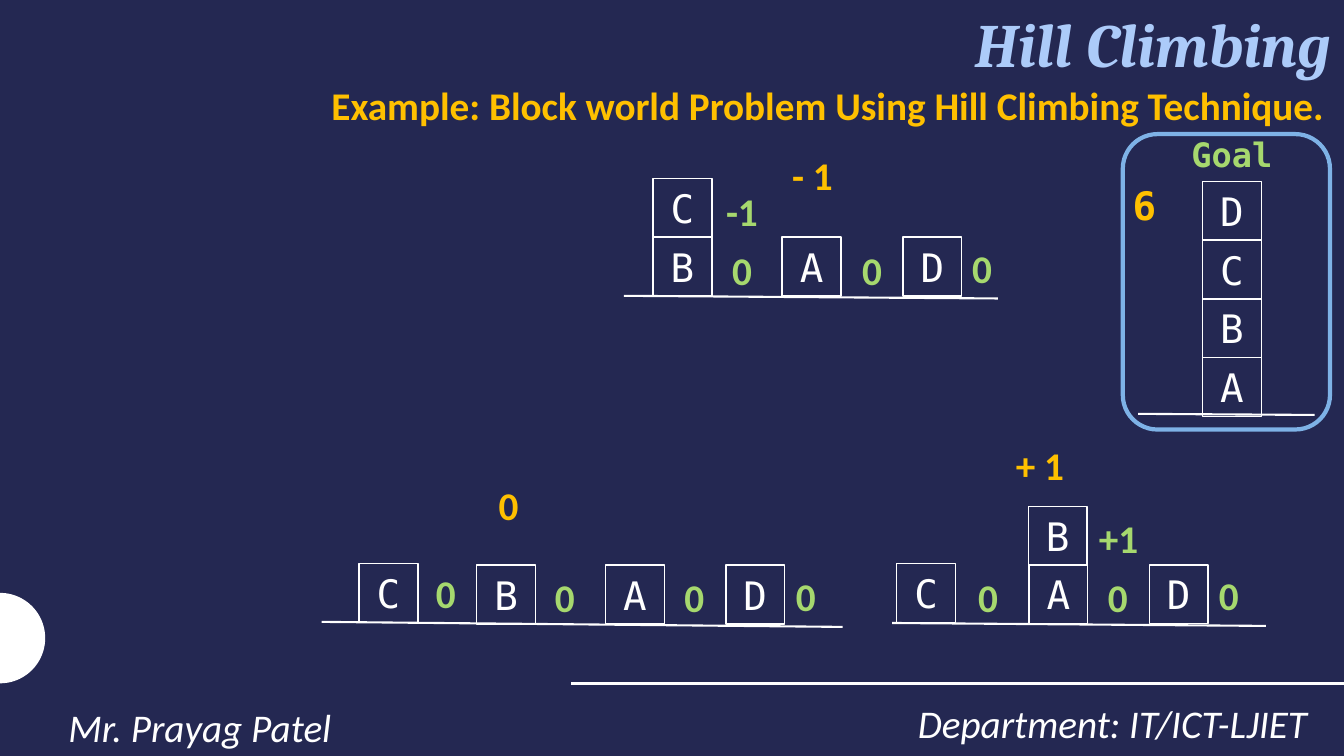
from dataclasses import dataclass
from math import cos, pi, sin

from lxml.etree import SubElement
from pptx import Presentation
from pptx.dml.color import RGBColor
from pptx.enum.shapes import MSO_CONNECTOR, MSO_SHAPE
from pptx.enum.text import MSO_ANCHOR, PP_ALIGN
from pptx.oxml.ns import qn
from pptx.shapes.autoshape import Shape
from pptx.slide import Slide
from pptx.util import Pt


@dataclass(frozen=True)
class Theme:
    background: str = "242852"
    white: str = "FFFFFF"
    title: str = "ACCBF9"
    amber: str = "FFC000"
    green: str = "A6D86E"
    frame: str = "7EB2E6"
    body_font: str = "Calibri"
    title_font: str = "Cambria"
    block_font: str = "DejaVu Sans Mono"
    title_size: float = 44
    body_size: float = 28
    goal_size: float = 24


THEME = Theme()
WIDTH, HEIGHT = 960, 540
TILE = 42


@dataclass(frozen=True)
class Style:
    color: str
    font: str = THEME.body_font
    size: float = THEME.body_size
    bold: bool = False
    italic: bool = False


BLOCK = Style(THEME.white, THEME.block_font)
SCORE = Style(THEME.green, bold=True)
TOTAL = Style(THEME.amber, bold=True)
GOAL = Style(THEME.green, THEME.block_font, THEME.goal_size, bold=True)
GOAL_TOTAL = Style(THEME.amber, THEME.block_font, bold=True)
TITLE = Style(THEME.title, THEME.title_font, THEME.title_size, bold=True, italic=True)
FOOTER = Style(THEME.white, italic=True)


@dataclass(frozen=True)
class Label:
    text: str
    left: float
    top: float
    width: float
    height: float
    style: Style
    align: PP_ALIGN = PP_ALIGN.LEFT
    line_spacing: float = 1.0


@dataclass(frozen=True)
class Tile:
    text: str
    left: float
    top: float


@dataclass(frozen=True)
class Line:
    x1: float
    y1: float
    x2: float
    y2: float
    width: float = 1.5


@dataclass(frozen=True)
class State:
    ground: Line
    blocks: tuple[Tile, ...]
    scores: tuple[Tile, ...] = ()


STATES = (
    State(
        Line(229.7, 444.2, 601.9, 447.8),
        (Tile("C", 256.5, 402.5), Tile("B", 340.5, 403.7),
         Tile("A", 432.5, 403.7), Tile("D", 518.5, 403.7)),
        (Tile("0", 297.5, 402.5), Tile("0", 382.5, 405.3),
         Tile("0", 475, 405.3), Tile("0", 554.5, 404.5)),
    ),
    State(
        Line(445.7, 211.3, 712.8, 213.2),
        (Tile("B", 466.5, 169.4), Tile("C", 466.5, 127.4),
         Tile("A", 558.7, 169.4), Tile("D", 645, 169.4)),
        (Tile("0", 509, 171.5), Tile("-1", 509, 129.5),
         Tile("0", 602, 171.5), Tile("0", 680.5, 170.5)),
    ),
    State(
        Line(637.2, 445, 904.3, 447.1),
        (Tile("C", 640.5, 402.5), Tile("B", 734.5, 361.8),
         Tile("A", 735, 403.5), Tile("D", 821, 403.5)),
        (Tile("0", 684.7, 405.4), Tile("+1", 778, 363),
         Tile("0", 777.5, 405.4), Tile("0", 856.8, 404)),
    ),
    State(
        Line(813, 295.6, 939, 296.4),
        tuple(Tile(name, 859, 129.5 + row * TILE) for row, name in enumerate("DCBA")),
    ),
)

LABELS = (
    Label("Department: IT/ICT-LJIET", 581.8, 491, 359, 45.4, FOOTER, PP_ALIGN.RIGHT, 1.14),
    Label("Mr. Prayag Patel", 41.8, 494, 613.4, 45.4, FOOTER, line_spacing=1.14),
    Label("Hill Climbing", 162, 0.7, 796.3, 80, TITLE, PP_ALIGN.RIGHT),
    Label("Example: Block world Problem Using Hill Climbing Technique.",
          229.7, 54.7, 729.4, 41, TOTAL, PP_ALIGN.JUSTIFY),
    Label("Goal", 844, 92.2, 80, 36, GOAL),
    Label("6", 802, 126, 36, 41, GOAL_TOTAL),
    Label("0", 349, 340.6, 48, 41, TOTAL),
    Label("- 1", 558.7, 104.4, 48, 41, TOTAL),
    Label("+ 1", 718.5, 311.8, 55.5, 41, TOTAL),
)


def color(value: str) -> RGBColor:
    return RGBColor.from_string(value)


def write_text(shape: Shape, text: str, style: Style, align: PP_ALIGN,
               line_spacing: float = 1.0) -> None:
    paragraph = shape.text_frame.paragraphs[0]
    paragraph.alignment = align
    paragraph.line_spacing = line_spacing
    run = paragraph.add_run()
    run.text = text
    run.font.name = style.font
    run.font.size = Pt(style.size)
    run.font.bold = style.bold
    run.font.italic = style.italic
    run.font.color.rgb = color(style.color)


def add_label(slide: Slide, label: Label) -> None:
    shape = slide.shapes.add_textbox(
        Pt(label.left), Pt(label.top), Pt(label.width), Pt(label.height))
    shape.text_frame.word_wrap = True
    write_text(shape, label.text, label.style, label.align, label.line_spacing)


def add_outline(slide: Slide, preset: MSO_SHAPE, left: float, top: float,
                width: float, height: float, line_color: str, line_width: float) -> Shape:
    shape = slide.shapes.add_shape(preset, Pt(left), Pt(top), Pt(width), Pt(height))
    shape.shadow.inherit = False
    shape.fill.background()
    shape.line.color.rgb = color(line_color)
    shape.line.width = Pt(line_width)
    return shape


def add_tile(slide: Slide, tile: Tile, style: Style, outlined: bool) -> None:
    if outlined:
        shape = add_outline(slide, MSO_SHAPE.RECTANGLE, tile.left, tile.top,
                            TILE, TILE, THEME.white, 1)
    else:
        shape = slide.shapes.add_textbox(Pt(tile.left), Pt(tile.top), Pt(TILE), Pt(TILE))
    frame = shape.text_frame
    frame.word_wrap = False
    frame.margin_left = frame.margin_right = Pt(0)
    frame.vertical_anchor = MSO_ANCHOR.MIDDLE
    write_text(shape, tile.text, style, PP_ALIGN.CENTER)


def add_line(slide: Slide, line: Line) -> None:
    connector = slide.shapes.add_connector(
        MSO_CONNECTOR.STRAIGHT, Pt(line.x1), Pt(line.y1), Pt(line.x2), Pt(line.y2))
    connector.line.color.rgb = color(THEME.white)
    connector.line.width = Pt(line.width)
    SubElement(connector._element.spPr, qn("a:effectLst"))


def add_half_disc(slide: Slide, center_y: float, radius: float, steps: int = 48) -> None:
    """Draw a half disc that bulges from the left slide edge."""
    angles = [-pi / 2 + pi * step / steps for step in range(steps + 1)]
    points = [(Pt(radius * cos(angle)), Pt(center_y + radius * sin(angle)))
              for angle in angles]
    builder = slide.shapes.build_freeform(*points[0])
    builder.add_line_segments(points[1:], close=True)
    shape = builder.convert_to_shape()
    shape.shadow.inherit = False
    shape.fill.solid()
    shape.fill.fore_color.rgb = color(THEME.white)
    shape.line.fill.background()


def main() -> None:
    presentation = Presentation()
    presentation.slide_width, presentation.slide_height = Pt(WIDTH), Pt(HEIGHT)
    slide = presentation.slides.add_slide(presentation.slide_layouts[6])
    slide.background.fill.solid()
    slide.background.fill.fore_color.rgb = color(THEME.background)
    add_half_disc(slide, 455.8, 32.3)
    add_line(slide, Line(408, 488, WIDTH, 488, 2))
    for label in LABELS:
        add_label(slide, label)
    for state in STATES:
        for block in state.blocks:
            add_tile(slide, block, BLOCK, outlined=True)
        add_line(slide, state.ground)
        for score in state.scores:
            add_tile(slide, score, SCORE, outlined=False)
    add_outline(slide, MSO_SHAPE.ROUNDED_RECTANGLE, 802, 95.8, 148, 211, THEME.frame, 3)
    presentation.save("out.pptx")


if __name__ == "__main__":
    main()
